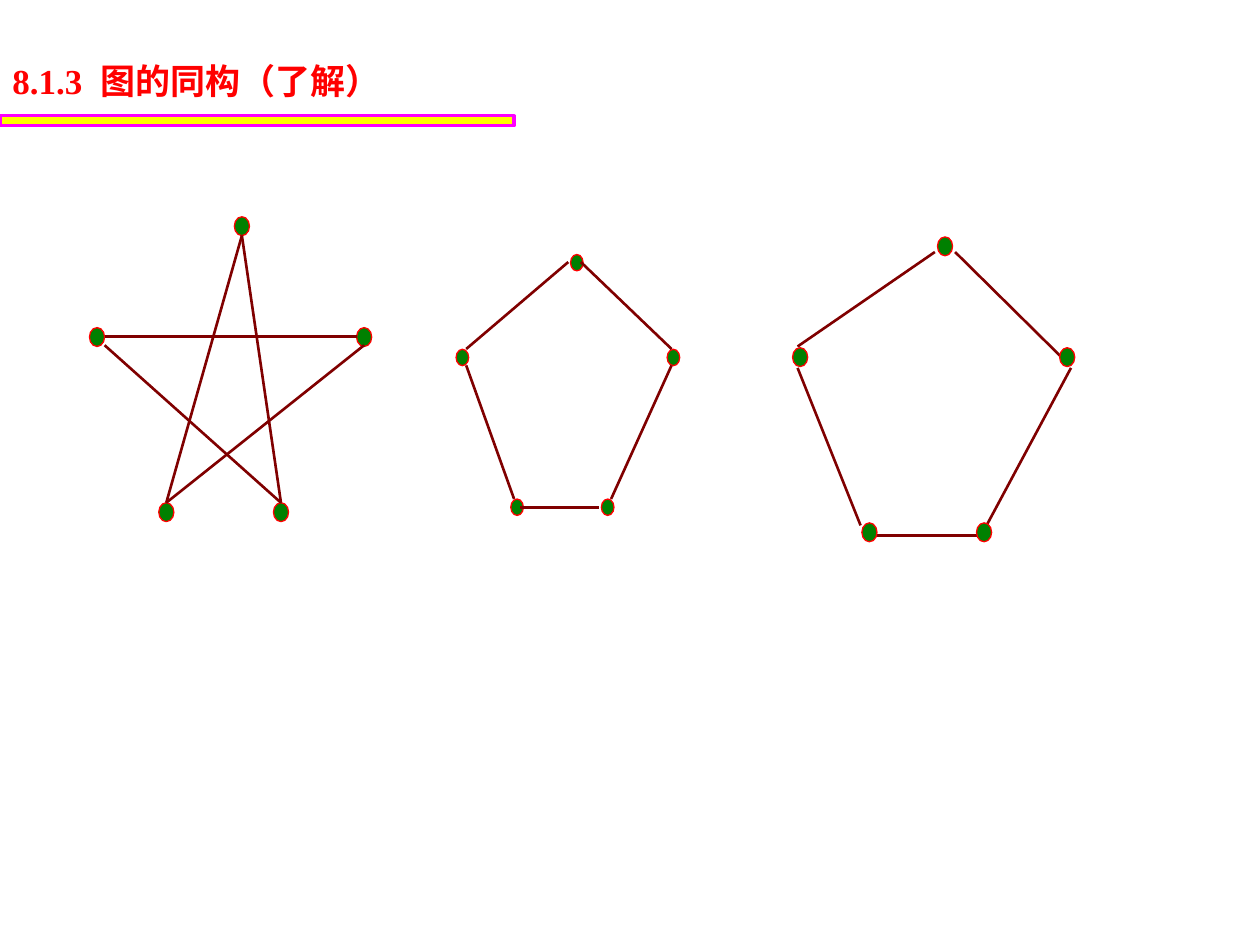
import pptx
import pptx.dml.color
import pptx.enum.shapes
import pptx.util
from lxml import etree
from pptx.util import Inches

# Vertex corners within a graph, measured from the graph's top left
VERTICES = [(2.12, 0.88), (0.55, 2.27), (0, 0.88), (1.46, 2.27), (1.15, 0)]

STAR_EDGES = [
    (0.83, 2.67, 2.83, 2.67),
    (1.92, 1.87, 1.32, 3.99),
    (1.92, 1.87, 2.23, 3.99),
    (0.83, 2.74, 2.23, 3.99),
    (1.32, 3.99, 2.89, 2.74),
]
SMALL_PENTAGON_EDGES = [
    (3.7, 2.77, 4.51, 2.08),
    (3.7, 2.9, 4.08, 3.96),
    (4.13, 4.03, 4.75, 4.03),
    (4.85, 3.96, 5.33, 2.9),
    (4.61, 2.08, 5.33, 2.77),
]
LARGE_PENTAGON_EDGES = [
    (6.33, 2.75, 7.42, 2),
    (6.33, 2.92, 6.83, 4.17),
    (6.92, 4.25, 7.75, 4.25),
    (7.83, 4.17, 8.5, 2.92),
    (7.58, 2, 8.42, 2.83),
]


def rgb(hex_color):
    return pptx.dml.color.RGBColor.from_string(hex_color)


def set_line(line, color, width):
    line.color.rgb = rgb(color)
    line.width = pptx.util.Pt(width)


def add_filled(shapes, preset, box, fill, line_color, line_width):
    shape = shapes.add_shape(preset, *map(Inches, box))
    shape.shadow.inherit = False
    shape.fill.solid()
    shape.fill.fore_color.rgb = rgb(fill)
    set_line(shape.line, line_color, line_width)


def add_vertices(group, left, top, size, scale=(1, 1)):
    for x, y in VERTICES:
        box = (left + x * scale[0], top + y * scale[1], *size)
        add_filled(group.shapes, pptx.enum.shapes.MSO_SHAPE.OVAL, box,
                   "008000", "FF0000", 0.75)


def add_edges(group, edges):
    for ends in edges:
        edge = group.shapes.add_connector(
            pptx.enum.shapes.MSO_CONNECTOR.STRAIGHT, *map(Inches, ends))
        set_line(edge.line, "800000", 1.5)
        etree.SubElement(edge._element.spPr, pptx.oxml.ns.qn("a:effectLst"))


def add_heading(slide):
    box = slide.shapes.add_textbox(Inches(0), Inches(0.42), Inches(4.33), Inches(0.43))
    box.text_frame.word_wrap = True
    paragraph = box.text_frame.paragraphs[0]
    for text, font_name in [("8.1.3  ", "Times New Roman"), ("图的同构（了解）", "Arial")]:
        run = paragraph.add_run()
        run.text = text
        run.font.name = font_name
        run.font.size = pptx.util.Pt(20)
        run.font.bold = True
        run.font.color.rgb = rgb("FF0000")


def main():
    presentation = pptx.Presentation()
    presentation.slide_width = Inches(10)
    presentation.slide_height = Inches(7.5)
    slide = presentation.slides.add_slide(presentation.slide_layouts[6])
    shapes = slide.shapes

    add_filled(shapes, pptx.enum.shapes.MSO_SHAPE.RECTANGLE, (0, 0.92, 4.08, 0.08),
               "FFFF00", "FF00FF", 1.75)

    star = shapes.add_group_shape()
    add_vertices(star, 0.71, 1.72, (0.12, 0.15))
    add_edges(star, STAR_EDGES)

    small_pentagon = shapes.add_group_shape()
    add_vertices(small_pentagon, 3.62, 2.02, (0.1, 0.13), scale=(0.79, 0.855))
    add_edges(small_pentagon, SMALL_PENTAGON_EDGES)

    large_pentagon = shapes.add_group_shape()
    add_edges(large_pentagon, LARGE_PENTAGON_EDGES)
    add_vertices(large_pentagon, 6.29, 1.88, (0.12, 0.15))

    add_heading(slide)
    presentation.save("out.pptx")


if __name__ == "__main__":
    main()
